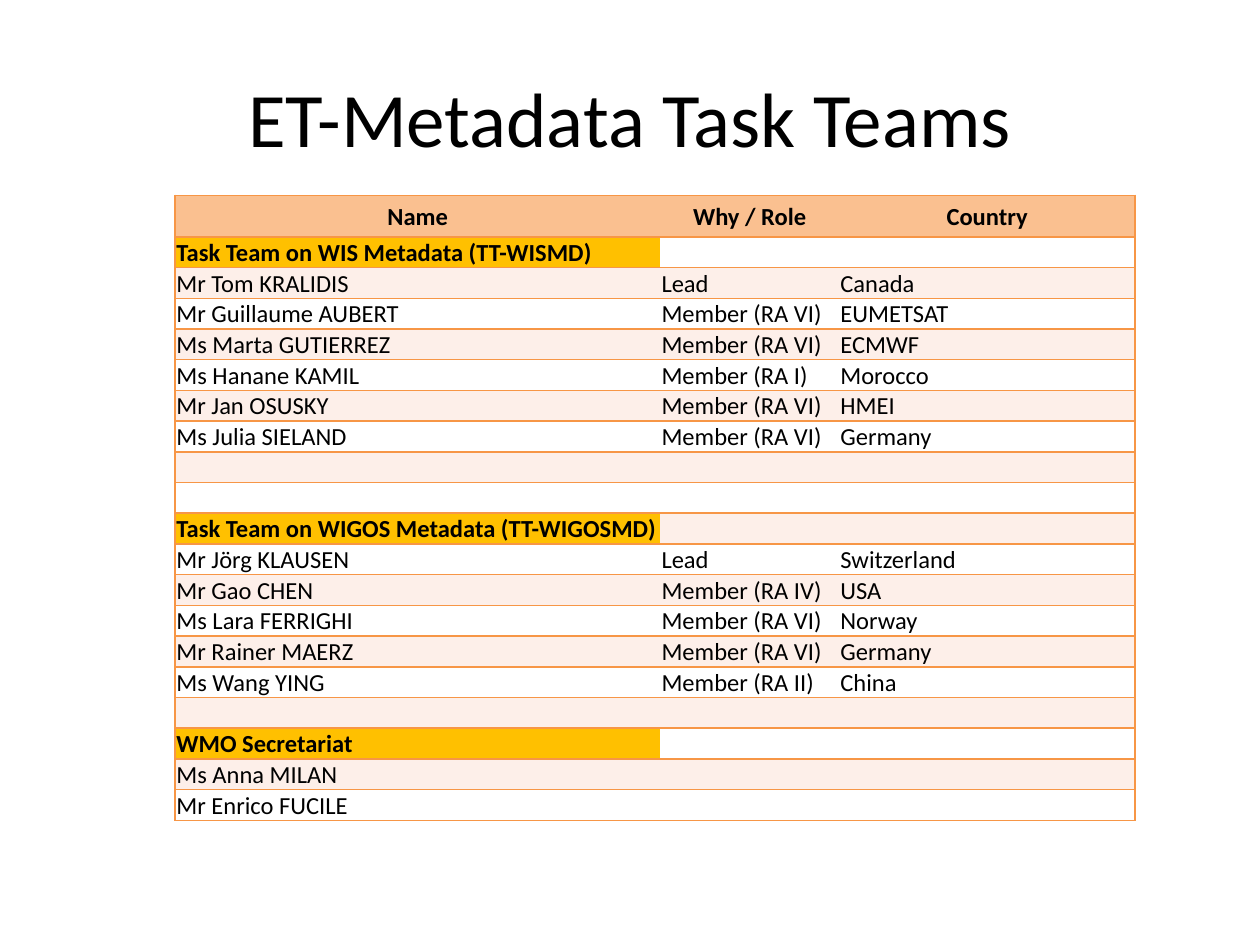
from lxml.etree import SubElement
from pptx import Presentation
from pptx.dml.color import RGBColor
from pptx.enum.text import MSO_ANCHOR as Anchor, PP_ALIGN as Align
from pptx.oxml.ns import qn
from pptx.util import Inches, Pt

LINE = "F79646"
BANDS = ["FFFFFF", "FDEFE9"]
HEADING_FILL = "FAC090"
TEAM_FILL = "FFC000"


def paint(target, color):
    if hasattr(target, "solid"):
        target.solid()
        target = target.fore_color
    target.rgb = RGBColor.from_string(color)


def style(frame, size, bold, align):
    paragraph = frame.paragraphs[0]
    paragraph.alignment = align
    for run in paragraph.runs:
        for name, value in {"size": Pt(size), "bold": bold, "name": "Calibri"}.items():
            setattr(run.font, name, value)
        paint(run.font.color, "000000")
    if not paragraph.runs:
        SubElement(paragraph._p, qn("a:endParaRPr"), sz=str(size * 100))


headings = ("Name", "Why / Role", "Country")
teams = {
    "Task Team on WIS Metadata (TT-WISMD)": [
        ("Mr Tom KRALIDIS", "Lead", "Canada"),
        ("Mr Guillaume AUBERT", "Member (RA VI)", "EUMETSAT"),
        ("Ms Marta GUTIERREZ", "Member (RA VI)", "ECMWF"),
        ("Ms Hanane KAMIL", "Member (RA I)", "Morocco"),
        ("Mr Jan OSUSKY", "Member (RA VI)", "HMEI"),
        ("Ms Julia SIELAND", "Member (RA VI)", "Germany"),
        ("", "", ""),
        ("", "", ""),
    ],
    "Task Team on WIGOS Metadata (TT-WIGOSMD)": [
        ("Mr Jörg KLAUSEN", "Lead", "Switzerland"),
        ("Mr Gao CHEN", "Member (RA IV)", "USA"),
        ("Ms Lara FERRIGHI", "Member (RA VI)", "Norway"),
        ("Mr Rainer MAERZ", "Member (RA VI)", "Germany"),
        ("Ms Wang YING", "Member (RA II)", "China"),
        ("", "", ""),
    ],
    "WMO Secretariat": [
        ("Ms Anna MILAN", "", ""),
        ("Mr Enrico FUCILE", "", ""),
    ],
}
roster = [headings]
for team, members in teams.items():
    roster += [(team, "", ""), *members]

deck = Presentation()
deck.slide_width, deck.slide_height = Inches(10), Inches(7.5)
width, height = deck.slide_width, deck.slide_height
slide = deck.slides.add_slide(deck.slide_layouts[6])

title = slide.shapes.add_textbox(
    int(width * 0.05), int(height * 0.04), int(width * 0.9), int(height / 6)
).text_frame
for name, value in {
    "word_wrap": True,
    "vertical_anchor": Anchor.MIDDLE,
    "text": "ET-Metadata Task Teams",
}.items():
    setattr(title, name, value)
style(title, 44, False, Align.CENTER)

column_shares = [0.385, 0.142, 0.235]
row_heights = [Inches(0.33)] + [Inches(0.23)] * (len(roster) - 1)
table = slide.shapes.add_table(
    len(roster), len(headings), int(width * 0.139), Inches(1.55),
    int(width * sum(column_shares)), sum(row_heights),
).table
table.first_row = table.horz_banding = False
for column, share in zip(table.columns, column_shares):
    column.width = int(width * share)

for r, entries in enumerate(roster):
    table.rows[r].height = row_heights[r]
    for c, entry in enumerate(entries):
        cell = table.cell(r, c)
        is_heading = r == 0
        is_team = entry in teams
        for name, value in {
            "text": entry,
            "margin_left": Inches(0.01),
            "margin_right": Inches(0.01),
            "margin_top": Inches(0.01),
            "margin_bottom": 0,
            "vertical_anchor": Anchor.MIDDLE if is_heading else Anchor.BOTTOM,
        }.items():
            setattr(cell, name, value)
        style(cell.text_frame, 14, is_heading or is_team,
              Align.CENTER if is_heading else Align.LEFT)

        properties = cell._tc.get_or_add_tcPr()
        edges = {"L": c == 0, "R": c == len(headings) - 1, "T": True, "B": True}
        for edge, visible in edges.items():
            border = SubElement(properties, qn(f"a:ln{edge}"), w=str(Pt(1)))
            if visible:
                border_fill = SubElement(border, qn("a:solidFill"))
                SubElement(border_fill, qn("a:srgbClr"), val=LINE)
            else:
                SubElement(border, qn("a:noFill"))
        paint(cell.fill, HEADING_FILL if is_heading else
              TEAM_FILL if is_team else BANDS[(r + 1) % 2])

deck.save("out.pptx")
